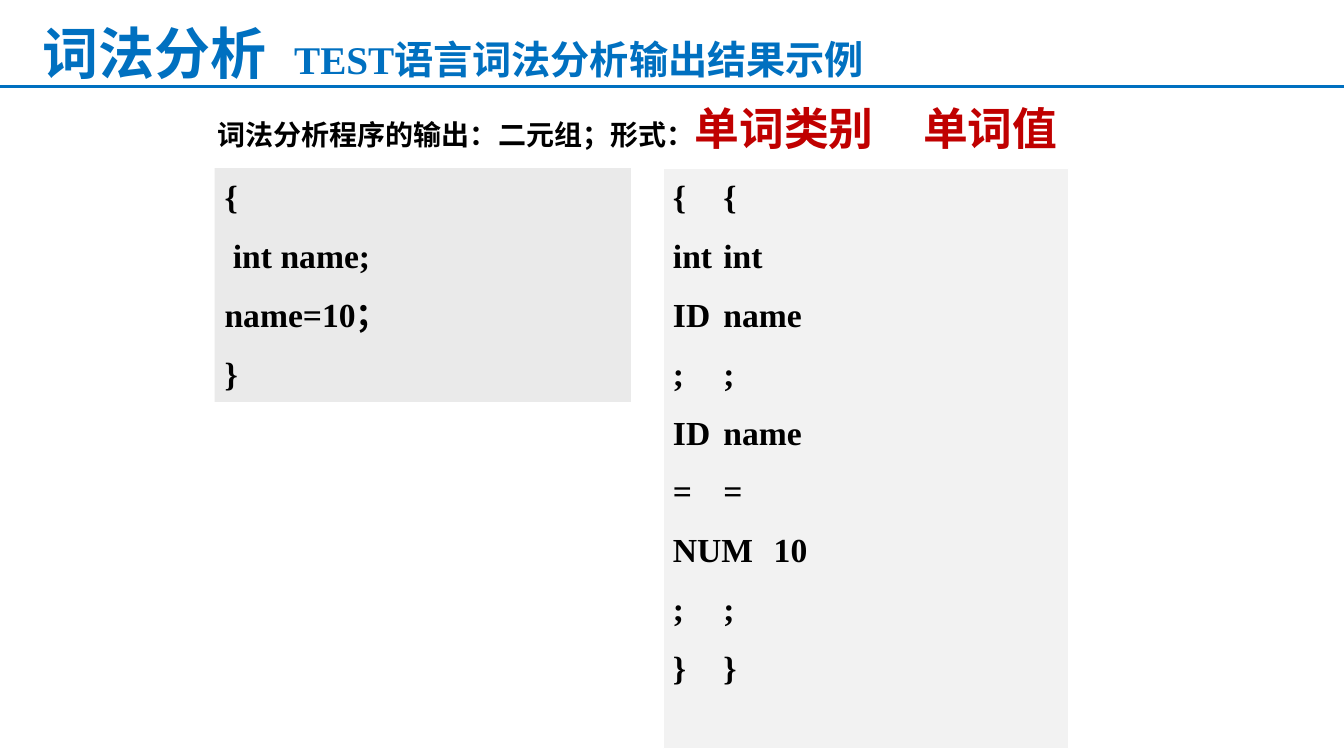
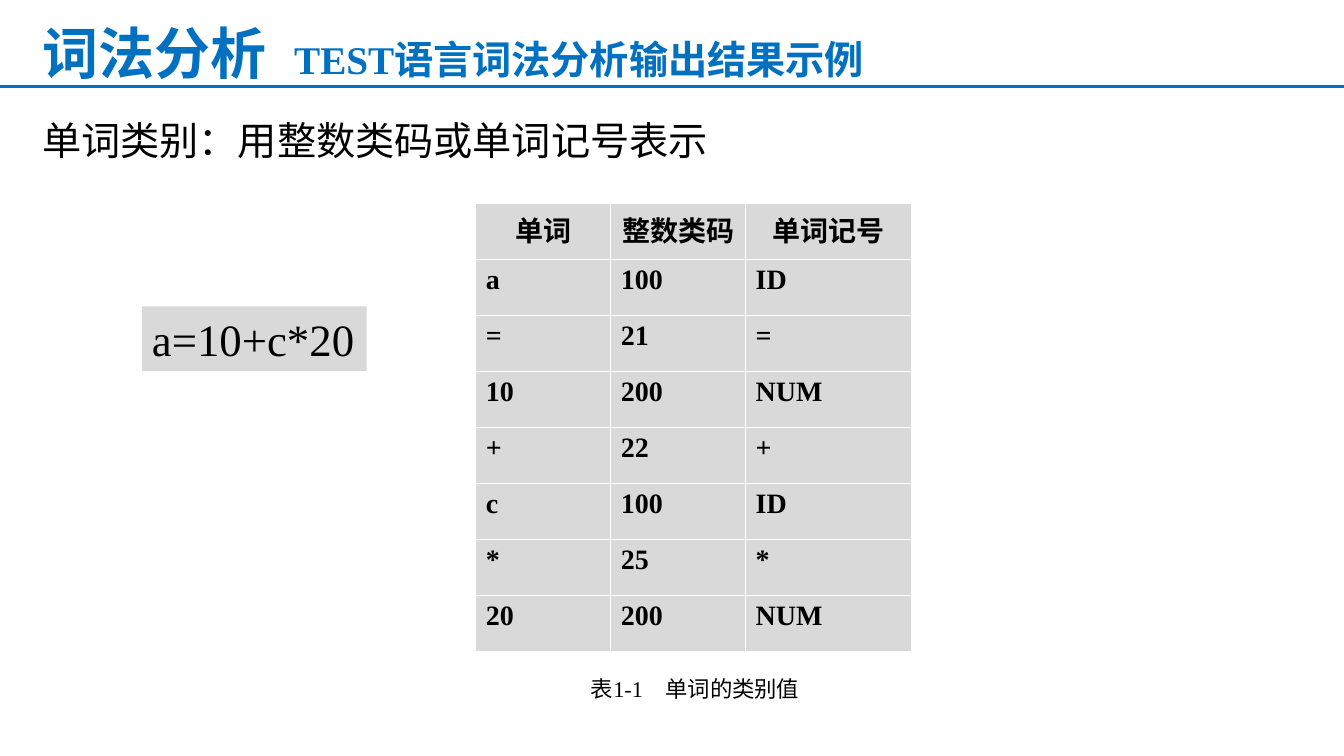
"""Build two slides on the output of lexical analysis for the TEST language."""
from dataclasses import dataclass
from typing import Optional, Sequence

from lxml import etree
from pptx import Presentation
from pptx.dml.color import RGBColor
from pptx.enum.shapes import MSO_CONNECTOR, MSO_SHAPE
from pptx.enum.text import MSO_ANCHOR, MSO_AUTO_SIZE, PP_ALIGN
from pptx.oxml.ns import qn
from pptx.util import Cm, Pt

RECT = MSO_SHAPE.RECTANGLE
STRAIGHT = MSO_CONNECTOR.STRAIGHT
TOP, MIDDLE = MSO_ANCHOR.TOP, MSO_ANCHOR.MIDDLE
LEFT, CENTER = PP_ALIGN.LEFT, PP_ALIGN.CENTER
NO_FIT = MSO_AUTO_SIZE.NONE
TITLE_AND_CONTENT = 1


@dataclass(frozen=True)
class Theme:
    blue: str = "0070C0"
    red: str = "C00000"
    black: str = "000000"
    white: str = "FFFFFF"
    source_fill: str = "EAEAEA"
    token_fill: str = "F2F2F2"
    gray: str = "D9D9D9"
    latin: str = "Times New Roman"
    east_asian: str = "Noto Sans CJK SC"
    title: float = 40
    subtitle: float = 28
    large: float = 32
    body: float = 28
    code: float = 24
    cell: float = 20
    caption: float = 16


T = Theme()


@dataclass(frozen=True)
class Box:
    left: float
    top: float
    width: float
    height: float


@dataclass(frozen=True)
class Piece:
    text: str
    size: float
    color: str = T.black
    bold: bool = False
    latin: str = T.latin


@dataclass(frozen=True)
class Panel:
    box: Box
    fill: str
    lines: Sequence[str]
    size: float = T.code
    bold: bool = True
    anchor: MSO_ANCHOR = TOP
    outline: Optional[str] = None
    tab: Optional[float] = None


SLIDE = Box(0, 0, 33.87, 19.05)
TITLE_BOX = Box(0.81, 0.33, 23.32, 1.96)
RULE_Y = 2.18
TITLE_TAB = 6.47
TITLE = (
    Piece("词法分析", T.title, T.blue, True),
    Piece("\tTEST语言词法分析输出结果示例", T.subtitle, T.blue, True),
)

OUTPUT_FORM = (
    Piece("词法分析程序的输出：二元组；形式：", T.cell, T.black, True, T.east_asian),
    Piece("单词类别\t单词值", T.large, T.red, True, T.east_asian),
)
SOURCE_LINES = ("{", " int name;", "name=10；", "}")
TOKENS = (
    ("{", "{"), ("int", "int"), ("ID", "name"),
    (";", ";"), ("ID", "name"), ("=", "="),
    ("NUM", "10"), (";", ";"), ("}", "}"),
)
PANELS = (
    Panel(Box(5.41, 4.24, 10.49, 5.89), T.source_fill, SOURCE_LINES),
    Panel(Box(16.71, 4.24, 10.21, 14.63), T.token_fill,
          ["\t".join(token) for token in TOKENS], outline=T.white, tab=2.8),
)

CODE_ROWS = (
    ("单词", "整数类码", "单词记号"),
    ("a", "100", "ID"),
    ("=", "21", "="),
    ("10", "200", "NUM"),
    ("+", "22", "+"),
    ("c", "100", "ID"),
    ("*", "25", "*"),
    ("20", "200", "NUM"),
)
CODE_BOX = Box(11.99, 5.13, 10.99, 11.28)
CODE_WIDTHS = (3.4, 3.4, 4.19)
EXPRESSION = Panel(Box(3.58, 7.72, 5.66, 1.63), T.gray, ["a=10+c*20"],
                   size=T.large, bold=False, anchor=MIDDLE)


def rgb(color: str) -> RGBColor:
    """Turn a hex string into a colour."""
    return RGBColor.from_string(color)


def lengths(box: Box) -> tuple:
    """Give the four lengths of a box."""
    return Cm(box.left), Cm(box.top), Cm(box.width), Cm(box.height)


def prepare(tf, anchor: MSO_ANCHOR = MIDDLE) -> None:
    """Set wrapping, fitting and anchoring of a text frame."""
    tf.word_wrap = True
    tf.auto_size = NO_FIT
    tf.vertical_anchor = anchor


def style_paragraph(p, align: PP_ALIGN = LEFT, before: float = 0,
                    spacing: float = 1.0, tab: Optional[float] = None) -> None:
    """Set alignment, spacing and tab stop, with no bullet or indent."""
    pPr = p._p.get_or_add_pPr()
    pPr.set("marL", "0")
    pPr.set("indent", "0")
    etree.SubElement(pPr, qn("a:buNone"))
    if tab is not None:
        stops = etree.SubElement(pPr, qn("a:tabLst"))
        etree.SubElement(stops, qn("a:tab"), pos=str(int(Cm(tab))), algn="l")
    p.alignment = align
    p.space_before = Pt(before)
    p.line_spacing = spacing


def style_run(r, piece: Piece) -> None:
    """Apply the fonts, size and colour of a piece to a run."""
    r.font.size = Pt(piece.size)
    r.font.bold = piece.bold
    r.font.color.rgb = rgb(piece.color)
    r.font.name = piece.latin
    ea = etree.SubElement(r._r.get_or_add_rPr(), qn("a:ea"))
    ea.set("typeface", T.east_asian)


def write_pieces(p, pieces: Sequence[Piece]) -> None:
    """Write the pieces as runs of one paragraph."""
    for piece in pieces:
        r = p.add_run()
        r.text = piece.text
        style_run(r, piece)


def fill_placeholder(sp, box: Box, pieces: Sequence[Piece],
                     spacing: float = 1.0, tab: Optional[float] = None) -> None:
    """Move a placeholder and write one line into it."""
    sp.left, sp.top, sp.width, sp.height = lengths(box)
    prepare(sp.text_frame)
    p = sp.text_frame.paragraphs[0]
    style_paragraph(p, spacing=spacing, tab=tab)
    write_pieces(p, pieces)


def add_base_slide(prs):
    """Add a slide with the shared title and rule."""
    s = prs.slides.add_slide(prs.slide_layouts[TITLE_AND_CONTENT])
    fill_placeholder(s.shapes.title, TITLE_BOX, TITLE, tab=TITLE_TAB)
    rule = s.shapes.add_connector(STRAIGHT, 0, Cm(RULE_Y), Cm(SLIDE.width), Cm(RULE_Y))
    rule.line.color.rgb = rgb(T.blue)
    rule.line.width = Pt(2.25)
    etree.SubElement(rule._element.spPr, qn("a:effectLst"))
    return s


def add_panel(s, panel: Panel) -> None:
    """Draw a filled box with lines of code."""
    sp = s.shapes.add_shape(RECT, *lengths(panel.box))
    sp.shadow.inherit = False
    sp.fill.solid()
    sp.fill.fore_color.rgb = rgb(panel.fill)
    if panel.outline:
        sp.line.color.rgb = rgb(panel.outline)
        sp.line.width = Pt(0.75)
    else:
        sp.line.fill.background()
    tf = sp.text_frame
    prepare(tf, panel.anchor)
    if panel.anchor == TOP:
        tf.margin_top = Cm(0.2)
    tf.text = "\n".join(panel.lines)
    for i, p in enumerate(tf.paragraphs):
        style_paragraph(p, before=13.2 if i else 0, tab=panel.tab)
        style_run(p.runs[0], Piece(p.text, panel.size, bold=panel.bold))


def style_borders(cell, color: str, width: float) -> None:
    """Draw the same line on all four sides of a cell."""
    tcPr = cell._tc.get_or_add_tcPr()
    for i, side in enumerate(("a:lnL", "a:lnR", "a:lnT", "a:lnB")):
        ln = etree.Element(qn(side), w=str(int(Pt(width))))
        fill = etree.SubElement(ln, qn("a:solidFill"))
        etree.SubElement(fill, qn("a:srgbClr"), val=color)
        tcPr.insert(i, ln)


def add_code_table(s) -> None:
    """Draw the table of words and their codes."""
    table = s.shapes.add_table(len(CODE_ROWS), len(CODE_WIDTHS),
                               *lengths(CODE_BOX)).table
    for column, width in zip(table.columns, CODE_WIDTHS):
        column.width = Cm(width)
    for i, row in enumerate(CODE_ROWS):
        for j, text in enumerate(row):
            cell = table.cell(i, j)
            cell.fill.solid()
            cell.fill.fore_color.rgb = rgb(T.gray)
            style_borders(cell, T.white, 1)
            cell.text_frame.text = text
            p = cell.text_frame.paragraphs[0]
            style_paragraph(p, LEFT if i else CENTER)
            style_run(p.runs[0], Piece(text, T.cell, bold=True))


def add_caption(s, box: Box, text: str) -> None:
    """Write a centred caption."""
    tf = s.shapes.add_textbox(*lengths(box)).text_frame
    prepare(tf)
    tf.text = text
    p = tf.paragraphs[0]
    style_paragraph(p, CENTER)
    style_run(p.runs[0], Piece(text, T.caption))


def build_output_slide(prs) -> None:
    """Show a source fragment beside its tokens."""
    s = add_base_slide(prs)
    fill_placeholder(s.placeholders[1], Box(5.23, 2.41, 22.53, 1.63),
                     OUTPUT_FORM, tab=17.32)
    for panel in PANELS:
        add_panel(s, panel)


def build_category_slide(prs) -> None:
    """Show an expression beside the codes of its words."""
    s = add_base_slide(prs)
    fill_placeholder(s.placeholders[1], Box(0.81, 2.74, 17.48, 1.47),
                     [Piece("单词类别：用整数类码或单词记号表示", T.body)], spacing=1.1)
    add_code_table(s)
    add_caption(s, Box(12.62, 16.89, 9.8, 0.94), "表1-1　单词的类别值")
    add_panel(s, EXPRESSION)


def main() -> None:
    """Build and save the presentation."""
    prs = Presentation()
    prs.slide_width, prs.slide_height = Cm(SLIDE.width), Cm(SLIDE.height)
    build_output_slide(prs)
    build_category_slide(prs)
    prs.save("out.pptx")


if __name__ == "__main__":
    main()
